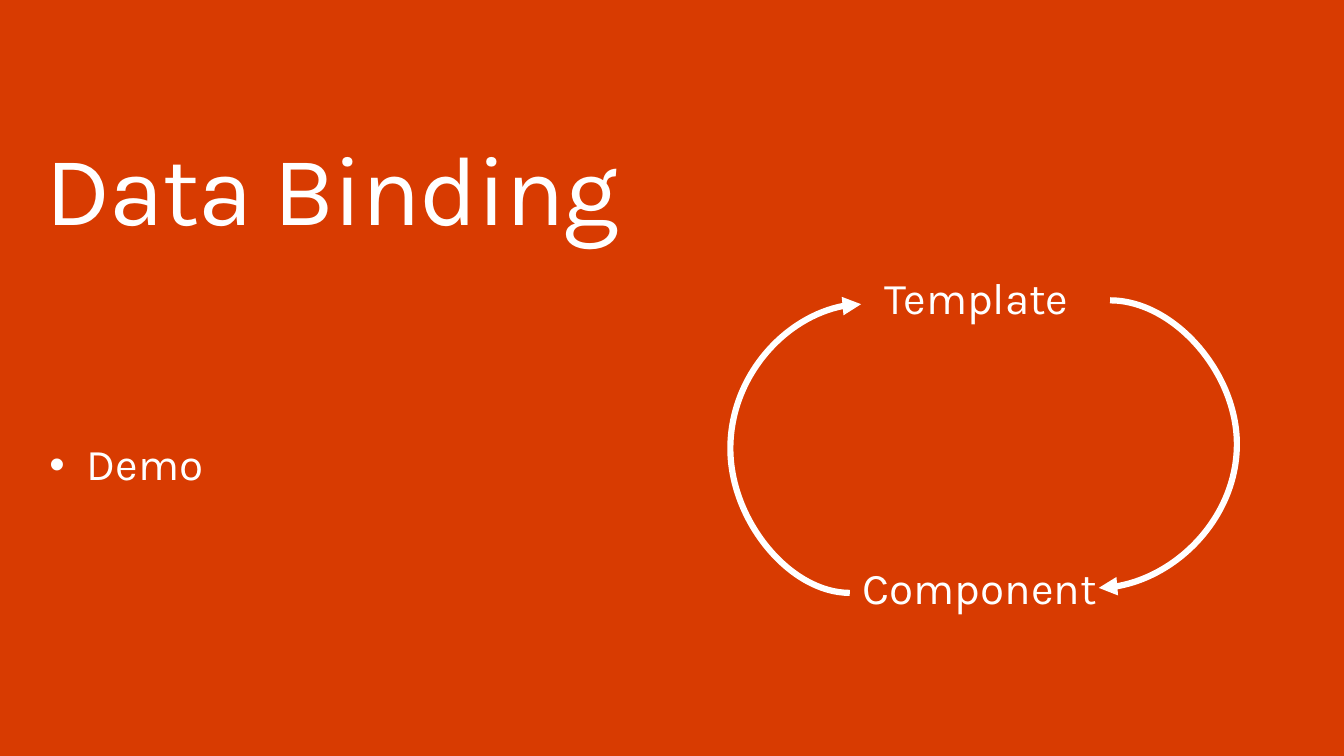
"""Builds the Data Binding demo slide with its template and component cycle."""
from lxml import etree
from pptx import Presentation
from pptx import util as u
from pptx.dml.color import RGBColor
from pptx.enum import shapes, text
from pptx.oxml import ns

ORANGE = RGBColor(0xD8, 0x3B, 0x01)
WHITE = RGBColor(0xFF, 0xFF, 0xFF)


class DemoSlide:
    font = "Karla"
    label_size = 32
    title_size = 72

    def __init__(self, deck):
        self.slide = deck.slides.add_slide(deck.slide_layouts[1])
        background = self.slide.background.fill
        background.solid()
        background.fore_color.rgb = ORANGE

    def set_text(self, holder, wording, box, size, align, insets):
        holder.left, holder.top, holder.width, holder.height = map(u.Cm, box)
        frame = holder.text_frame
        frame.text = wording
        frame.word_wrap = True
        frame.auto_size = text.MSO_AUTO_SIZE.SHAPE_TO_FIT_TEXT
        frame.vertical_anchor = text.MSO_ANCHOR.TOP
        side, edge = map(u.Cm, insets)
        frame.margin_left = frame.margin_right = side
        frame.margin_top = frame.margin_bottom = edge
        paragraph = frame.paragraphs[0]
        paragraph.alignment = align
        paragraph.line_spacing = 0.9
        paragraph.space_before = u.Pt(0)
        paragraph.font.name = self.font
        paragraph.font.size = u.Pt(size)
        paragraph.font.color.rgb = WHITE
        return paragraph

    def title(self, wording, box):
        heading = self.set_text(self.slide.shapes.title, wording, box, self.title_size,
                                text.PP_ALIGN.LEFT, (0.41, 0.25))
        heading.runs[0].font._element.set("spc", "-100")

    def body(self, wording, box):
        holder = self.slide.placeholders[1]
        properties = holder.text_frame.paragraphs[0]._p.get_or_add_pPr()
        properties.set("marL", "0")
        properties.set("indent", "0")
        etree.SubElement(properties, ns.qn("a:buNone"))
        self.set_text(holder, wording, box, self.label_size, text.PP_ALIGN.LEFT, (0.51, 0.41))

    def label(self, wording, box):
        holder = self.slide.shapes.add_textbox(0, 0, 0, 0)
        self.set_text(holder, wording, box, self.label_size, text.PP_ALIGN.CENTER, (0.51, 0.41))

    def arc(self, start, end, bulge):
        arrow = self.slide.shapes.add_connector(
            shapes.MSO_CONNECTOR.CURVE, *map(u.Cm, start + end))
        arrow.line.color.rgb = WHITE
        arrow.line.width = u.Pt(4.5)
        properties = arrow._element.spPr
        outline = properties.find(ns.qn("a:ln"))
        etree.SubElement(outline, ns.qn("a:tailEnd"), type="triangle")
        etree.SubElement(properties, ns.qn("a:effectLst"))
        bend = round(-100000 * bulge / abs(end[0] - start[0]))
        geometry = properties.find(ns.qn("a:prstGeom"))
        guides = geometry.find(ns.qn("a:avLst"))
        etree.SubElement(guides, ns.qn("a:gd"), name="adj1", fmla=f"val {bend}")


def main():
    deck = Presentation()
    deck.slide_width, deck.slide_height = u.Cm(34.54), u.Cm(19.43)
    demo = DemoSlide(deck)
    demo.title("Data Binding", (0.76, 3.35, 22.86, 3.28))
    demo.body("Demo", (0.76, 10.97, 22.86, 2.06))
    demo.label("Template", (19.81, 6.71, 10.59, 2.06))
    demo.label("Component", (19.89, 14.15, 10.59, 2.06))
    demo.arc((28.53, 7.72), (28.24, 15.11), 3.26)
    demo.arc((21.84, 15.24), (22.13, 7.82), 3.07)
    deck.save("out.pptx")


if __name__ == "__main__":
    main()
